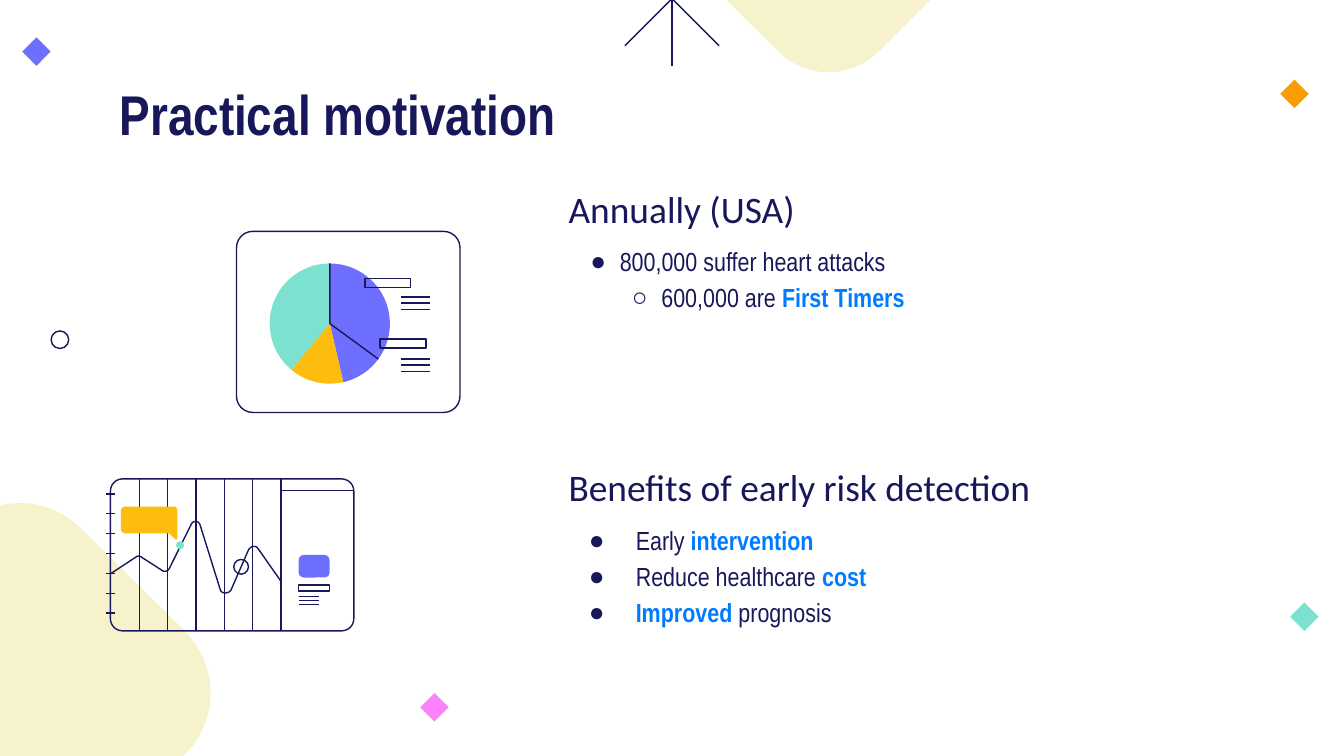
from dataclasses import dataclass
from typing import Optional

from lxml.etree import SubElement
from pptx import Presentation
from pptx.dml.color import RGBColor
from pptx.enum.shapes import MSO_CONNECTOR as CONN, MSO_SHAPE as SHAPE
from pptx.enum.text import MSO_ANCHOR as ANCHOR, MSO_AUTO_SIZE as AUTO, PP_ALIGN as ALIGN
from pptx.oxml.ns import qn
from pptx.util import Pt

NAVY, BLUE, CREAM = "17175A", "007BFF", "F6F2CC"
TEAL, PURPLE, YELLOW = "7CE1CF", "6E6FFF", "FCBD0E"
ORANGE, PINK = "FA9D02", "FC81FD"


@dataclass
class Preset:
    kind: SHAPE
    x: float
    y: float
    w: float
    h: float
    fill: Optional[str] = None  # without a fill the shape is outlined
    adjust: tuple = ()
    rotation: float = 0


@dataclass
class Outline:
    """A start point, then (x, y) lines and (x1, y1, x2, y2, x, y) curves."""
    steps: list
    fill: Optional[str] = None


@dataclass
class Line:
    x1: float
    y1: float
    x2: float
    y2: float


@dataclass
class Item:
    runs: list  # (text, highlighted)
    bullet: str = ""
    margin: float = 0
    indent: float = 0
    level: int = 0


def rgb(color: str) -> RGBColor:
    return RGBColor.from_string(color)


def paint(sp, fill: Optional[str]) -> None:
    sp.shadow.inherit = False
    if fill:
        sp.fill.solid()
        sp.fill.fore_color.rgb = rgb(fill)
        sp.line.fill.background()
    else:
        sp.fill.background()
        ink(sp.line)


def ink(line) -> None:
    line.color.rgb = rgb(NAVY)
    line.width = Pt(0.75)


def draw_preset(shapes, spec: Preset) -> None:
    sp = shapes.add_shape(spec.kind, Pt(spec.x), Pt(spec.y), Pt(spec.w), Pt(spec.h))
    for i, value in enumerate(spec.adjust):
        sp.adjustments[i] = value
    sp.rotation = spec.rotation
    paint(sp, spec.fill)


def draw_line(shapes, spec: Line) -> None:
    c = shapes.add_connector(CONN.STRAIGHT, Pt(spec.x1), Pt(spec.y1), Pt(spec.x2), Pt(spec.y2))
    ink(c.line)
    SubElement(c.element.spPr, qn("a:effectLst"))


def draw_outline(shapes, spec: Outline, pieces: int = 12) -> None:
    points = [spec.steps[0]]
    for step in spec.steps[1:]:
        if len(step) == 2:
            points.append(step)
            continue
        controls = [points[-1], step[:2], step[2:4], step[4:]]
        for k in range(1, pieces + 1):
            t = k / pieces
            weights = ((1 - t) ** 3, 3 * t * (1 - t) ** 2, 3 * t * t * (1 - t), t ** 3)
            points.append(tuple(sum(w * c[axis] for w, c in zip(weights, controls))
                                for axis in (0, 1)))
    emu = [(Pt(x), Pt(y)) for x, y in points]
    builder = shapes.build_freeform(*emu[0], scale=1.0)
    builder.add_line_segments(emu[1:], close=bool(spec.fill))
    paint(builder.convert_to_shape(), spec.fill)


DRAW = {Preset: draw_preset, Line: draw_line, Outline: draw_outline}


def draw(shapes, specs: list) -> None:
    for spec in specs:
        DRAW[type(spec)](shapes, spec)


def stack(x1: float, x2: float, top: float, pitch: float, count: int = 3) -> list:
    return [Line(x1, top + i * pitch, x2, top + i * pitch) for i in range(count)]


def fill_placeholder(sp, box: tuple, items: list, font: dict, anchor=ANCHOR.TOP,
                     spacing: float = 1.15) -> None:
    sp.left, sp.top, sp.width, sp.height = map(Pt, box)
    tf = sp.text_frame
    frame = dict(word_wrap=True, auto_size=AUTO.NONE, vertical_anchor=anchor)
    frame.update(dict.fromkeys(("margin_left", "margin_top", "margin_right", "margin_bottom"), Pt(7.2)))
    for name, value in frame.items():
        setattr(tf, name, value)
    for i, item in enumerate(items):
        p = tf.add_paragraph() if i else tf.paragraphs[0]
        layout = dict(level=item.level, alignment=ALIGN.LEFT, line_spacing=spacing,
                      space_before=Pt(0), space_after=Pt(0))
        for name, value in layout.items():
            setattr(p, name, value)
        pPr = p._p.get_or_add_pPr()
        pPr.set("marL", str(Pt(item.margin)))
        pPr.set("indent", str(Pt(item.indent)))
        if item.bullet:
            SubElement(SubElement(pPr, qn("a:buClr")), qn("a:srgbClr")).set("val", NAVY)
            SubElement(pPr, qn("a:buChar")).set("char", item.bullet)
        else:
            SubElement(pPr, qn("a:buNone"))
        for text, highlighted in item.runs:
            r = p.add_run()
            r.text = text
            for name, value in {"bold": highlighted, **font}.items():
                setattr(r.font, name, value)
            r.font.color.rgb = rgb(BLUE if highlighted else NAVY)


prs = Presentation()
prs.slide_width, prs.slide_height = Pt(720), Pt(405)
slide = prs.slides.add_slide(prs.slide_layouts.get_by_name("Comparison"))
shapes = slide.shapes
title, heading_1, list_1, heading_2, list_2 = slide.placeholders

# Background decoration
draw(shapes, [
    Outline([(43.2, 283), (99.4, 338.4), (117.4, 357.1, 117.4, 385.9, 99.4, 403.9),
             (43.2, 460.1), (25.2, 478.1, -3.6, 478.1, -21.6, 460.1),
             (-77.8, 403.9), (-95.8, 385.9, -95.8, 357.1, -77.8, 338.4),
             (-21.6, 283), (-3.6, 265, 25.2, 265, 43.2, 283)], CREAM),
    Outline([(525.6, -32.4), (524.2, -27.4, 521.3, -23, 517, -18.7),
             (470.9, 27.4), (455.8, 42.5, 431.3, 42.5, 416.9, 27.4),
             (370.1, -18.7), (366.5, -23, 363.6, -27.4, 361.4, -32.4)], CREAM),
    Preset(SHAPE.OVAL, 27.4, 177.3, 9.4, 9.4),
])
for x, y, color in ((693.4, 325, TEAL), (688.1, 44.9, ORANGE), (227.4, 373.5, PINK), (14.2, 22.2, PURPLE)):
    draw_preset(shapes, Preset(SHAPE.RECTANGLE, x, y, 10.8, 10.8, color, rotation=315))
draw(shapes.add_group_shape().shapes, [
    Line(360, -36, 360, 35.3), Line(385.2, -25.9, 334.8, 24.5), Line(385.2, 24.5, 334.8, -25.9)])

# Title and text
narrow = dict(name="Arial Narrow", size=Pt(14))
heading = dict(name="Calibri", size=Pt(20))
fill_placeholder(title, (56.9, 35.3, 607, 45.4), [Item([("Practical motivation", False)])],
                 dict(name="Arial Narrow", size=Pt(30), bold=True), spacing=1.0)
for sp, top, text in ((heading_1, 95.8, "Annually (USA)"),
                      (heading_2, 244.8, "Benefits of early risk detection")):
    fill_placeholder(sp, (297.4, top, 366.5, 35.3), [Item([(text, False)])], heading, ANCHOR.BOTTOM)
fill_placeholder(list_1, (297.4, 121.7, 366.5, 66.2), [
    Item([("800,000 suffer heart attacks", False)], "●", 27.4, -15.8),
    Item([("600,000 are ", False), ("First Timers", True)], "○", 49.7, -15.8, 1)], narrow)
benefits = [[("Early ", False), ("intervention", True)],
            [("Reduce healthcare ", False), ("cost", True)],
            [("Improved", True), (" prognosis", False)]]
fill_placeholder(list_2, (297.4, 271.4, 366.5, 85.7),
                 [Item(runs, "●", 36, -25.2) for runs in benefits], narrow)

# Wave dashboard
draw(shapes.add_group_shape().shapes, [
    Preset(SHAPE.ROUNDED_RECTANGLE, 59.2, 256.6, 130.4, 81.4, adjust=(0.08,)),
    Preset(SHAPE.RECTANGLE, 160, 313.4, 16.4, 3.2),
    Preset(SHAPE.ROUNDED_RECTANGLE, 160, 297.3, 16.6, 12.1, PURPLE, (0.23,)),
    *stack(160, 171, 319.6, 2.2),
    *[Line(x, 256.6, x, 338) for x in (74.7 + 15.16 * i for i in range(6))],
    Outline([(59.2, 307.4), (73.4, 298.1), (74.2, 297.7, 75.6, 298.1, 76.3, 298.8),
             (86.4, 305.3), (87.8, 306.7, 90, 306, 90.7, 304.6),
             (102.2, 281.5), (103, 278.6, 106.6, 278.6, 107.3, 281.5),
             (118.1, 316.1), (118.8, 318.2, 122.4, 318.2, 123.8, 316.1),
             (133.2, 294.5), (134.6, 292.3, 137.5, 292.3, 138.2, 293.8), (150.8, 311.8)]),
    Preset(SHAPE.OVAL, 94.4, 290, 4.2, 4.2, TEAL),
    Outline([(93.6, 288.7), (90.7, 285.8), (67, 285.8), (66.2, 285.8, 64.8, 284.4, 64.8, 283.7),
             (64.8, 273.6), (64.8, 272.2, 66.2, 271.4, 67, 271.4),
             (92.9, 271.4), (94.3, 271.4, 95, 272.2, 95, 273.6),
             (95, 288), (95, 289.4, 94.3, 289.4, 93.6, 288.7)], YELLOW),
    *stack(56.9, 61.7, 264.6, 10.65, 7),
    Preset(SHAPE.OVAL, 125.2, 299.7, 7.9, 7.9),
    Line(189.6, 262.7, 150.5, 262.7),
])

# Pie panel: slice angles run clockwise from three o'clock, 0.6 units per degree
slices = ((129.5, 270, TEAL), (270, 77, PURPLE), (77, 129.5, YELLOW))
draw(shapes.add_group_shape().shapes, [
    Preset(SHAPE.ROUNDED_RECTANGLE, 126.7, 124, 119.7, 97, adjust=(0.09,)),
    *[Preset(SHAPE.PIE, 144.5, 141.2, 64.4, 64.4, color, (0.6 * start, 0.6 * end))
      for start, end, color in slices],
    Outline([(176.7, 141.2), (176.7, 173.4), (202.7, 192.4)]),
    Preset(SHAPE.RECTANGLE, 195.6, 149.2, 24.5, 4.8),
    Preset(SHAPE.RECTANGLE, 203.7, 181.6, 24.5, 4.8),
    *stack(214.8, 230.2, 159.1, 3.3),
    *stack(214.8, 230.2, 192.3, 3.3),
])

prs.save("out.pptx")
